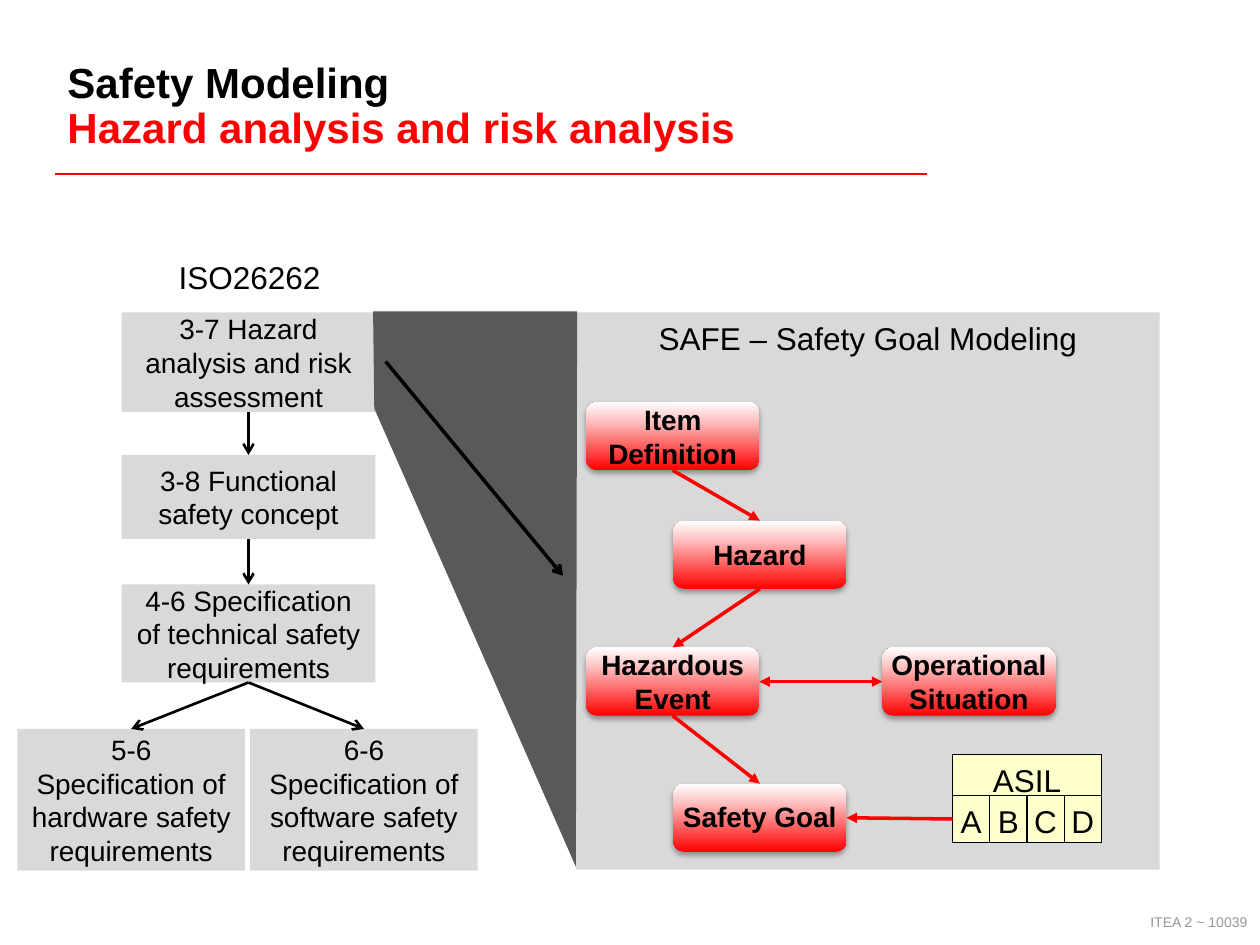
from lxml.etree import SubElement
from pptx import Presentation
from pptx.dml.color import RGBColor
from pptx.enum.shapes import MSO_CONNECTOR as Link, MSO_SHAPE as Kind
from pptx.enum.text import MSO_ANCHOR as Anchor, PP_ALIGN as Align
from pptx.oxml.ns import qn
from pptx.util import Pt

HUES = {"black": "000000", "red": "FF0000", "pink": "FEC8C8", "white": "FFFFFF",
        "pale": "D9D9D9", "dark": "595959", "cream": "FFFFCC", "gray": "969696"}
TOP, LEFT, BASE, RIGHT = range(4)


def hue(name):
    """Return the colour of that name."""
    return RGBColor.from_string(HUES[name])


def write(shape, runs, size, bold=False, align=Align.CENTER,
          anchor=Anchor.MIDDLE, wrap=True, pad=None, space=None):
    """Write (text, colour) runs, one to a line, into a shape."""
    frame = shape.text_frame
    frame.word_wrap, frame.vertical_anchor = wrap, anchor
    if pad is not None:
        frame.margin_left = frame.margin_right = Pt(pad)
        frame.margin_top = frame.margin_bottom = Pt(pad)
    para = frame.paragraphs[0]
    para.alignment, para.line_spacing = align, space
    for i, (text, color) in enumerate(runs):
        if i:
            para.add_line_break()
        run = para.add_run()
        run.text = text
        font = run.font
        font.name, font.size, font.bold = "Arial", Pt(size), bold
        font.color.rgb = hue(color)


def label(slide, box, runs, size, **style):
    """Add a text box."""
    write(slide.shapes.add_textbox(*map(Pt, box)), runs, size, **style)


def block(slide, box, text, fill, size, edge=False, **style):
    """Add a flat rectangle with text."""
    shape = slide.shapes.add_shape(Kind.RECTANGLE, *map(Pt, box))
    shape.shadow.inherit = False
    shape.fill.solid()
    shape.fill.fore_color.rgb = hue(fill)
    if edge:
        shape.line.color.rgb = hue("black")
        shape.line.width = Pt(0.75)
    else:
        shape.line.fill.background()
    write(shape, [(text, "black")], size, **style)
    return shape


def tint(node, name):
    """Add a colour element to an XML node."""
    return SubElement(node, qn("a:srgbClr"), val=HUES[name])


def node(slide, box, text, space=None):
    """Add a rounded box with a red fade and a soft shadow."""
    shape = slide.shapes.add_shape(Kind.ROUNDED_RECTANGLE, *map(Pt, box))
    shape.shadow.inherit = False
    shape.line.fill.background()
    shape.fill.gradient()
    shape.fill.gradient_angle = 90
    props = shape._element.spPr
    stops = props.find(qn("a:gradFill")).find(qn("a:gsLst"))
    for stop in list(stops):
        stops.remove(stop)
    for place, name in ((0, "red"), (75, "pink"), (100, "white")):
        tint(SubElement(stops, qn("a:gs"), pos=str(place * 1000)), name)
    shade = SubElement(props.find(qn("a:effectLst")), qn("a:outerShdw"),
                       blurRad=str(Pt(3.1)), dist=str(Pt(1.8)),
                       dir="5400000", rotWithShape="0")
    SubElement(tint(shade, "black"), qn("a:alpha"), val="35000")
    write(shape, [(text, "black")], 16, bold=True, pad=0, space=space)
    return shape


def line(slide, ends, color, width, head=None, tail=None):
    """Add a straight line with optional arrowheads."""
    link = slide.shapes.add_connector(Link.STRAIGHT, *map(Pt, ends))
    link.line.color.rgb = hue(color)
    link.line.width = Pt(width)
    props = link._element.spPr
    for tag, tip in (("a:headEnd", head), ("a:tailEnd", tail)):
        if tip:
            SubElement(props.find(qn("a:ln")), qn(tag), type=tip)
    SubElement(props, qn("a:effectLst"))
    return link


def join(slide, start, end, color, width, **tips):
    """Join two (shape, side) pairs with an arrow."""
    link = line(slide, (0, 0, 0, 0), color, width, **tips)
    link.begin_connect(*start)
    link.end_connect(*end)


def header(slide, x, y, w, h):
    """Add the title and the rule below it."""
    line(slide, (x, y + h + 8.6, x + w, y + h + 8.6), "red", 1.5)
    label(slide, (x, y, w, h),
          [("Safety Modeling", "black"), ("Hazard analysis and risk analysis", "red")],
          24, bold=True, align=Align.LEFT, anchor=Anchor.BOTTOM, space=0.9)


def flow(slide, x, y):
    """Add the chain of standard parts."""
    label(slide, (x + 85, y, 96.5, 29), [("ISO26262", "black")], 18,
          align=Align.LEFT, anchor=Anchor.TOP, wrap=False)
    parts = (
        (59.5, 34.5, 145, 57, "3-7 Hazard analysis and risk assessment"),
        (59.5, 116, 145, 48, "3-8 Functional safety concept"),
        (59.5, 190, 145, 56, "4-6 Specification of technical safety requirements"),
        (0, 272.5, 130, 81, "5-6 Specification of hardware safety requirements"),
        (133, 272.5, 130, 81, "6-6 Specification of software safety requirements"))
    steps = [block(slide, (x + dx, y + dy, w, h), text, "pale", 16)
             for dx, dy, w, h, text in parts]
    for i, j in ((2, 3), (2, 4), (0, 1), (1, 2)):
        join(slide, (steps[i], BASE), (steps[j], TOP), "black", 1.5, tail="arrow")


def asil(slide, x, y, w, h):
    """Add the level box and return its first cell."""
    style = dict(edge=True, anchor=Anchor.TOP, wrap=False)
    block(slide, (x, y, w, h), "ASIL", "cream", 18, **style)
    step, drop = w / 4, 23.4
    cells = [block(slide, (x + i * step, y + drop, step, h - drop), name, "cream", 18, **style)
             for i, name in enumerate("ABCD")]
    return cells[0]


def goals(slide, x, y, w, h):
    """Add the safety goal panel."""
    block(slide, (x, y, w, h), "SAFE – Safety Goal Modeling", "pale", 18, anchor=Anchor.TOP)

    def place(dx, dy, text, space=None):
        """Add one node at an offset in the panel."""
        return node(slide, (x + dx, y + dy, 99, 39), text, space)

    item = place(5.7, 51.2, "Item Definition")
    risk = place(55.5, 119, "Hazard")
    event = place(5.7, 191.5, "Hazardous Event")
    state = place(175, 191.5, "Operational Situation")
    goal = place(55.5, 269.3, "Safety Goal", 0.95)
    level = asil(slide, x + 215.2, y + 252.7, 85, 50.2)
    for start, end in ((item, risk), (risk, event), (event, goal)):
        join(slide, (start, BASE), (end, TOP), "red", 2, tail="triangle")
    join(slide, (event, RIGHT), (state, LEFT), "red", 2, head="triangle", tail="triangle")
    join(slide, (level, LEFT), (goal, RIGHT), "red", 2, tail="triangle")


def wedge(slide, x, y, w, h):
    """Add the dark zoom wedge and its arrow."""
    form = slide.shapes.build_freeform(Pt(x), Pt(y), scale=1)
    spots = ((w, 0), (w - 0.7, h), (0.7, 55.5))
    form.add_line_segments([(Pt(x + dx), Pt(y + dy)) for dx, dy in spots], close=True)
    shape = form.convert_to_shape()
    shape.shadow.inherit = False
    shape.fill.solid()
    shape.fill.fore_color.rgb = hue("dark")
    shape.line.fill.background()
    line(slide, (x + 7.2, y + 28.6, x + 108.5, y + 151), "black", 2, tail="arrow")


def main():
    """Build and save the slide."""
    deck = Presentation()
    deck.slide_width, deck.slide_height = Pt(720), Pt(540)
    slide = deck.slides.add_slide(deck.slide_layouts[6])
    label(slide, (625.7, 518.4, 94.3, 16.6), [("ITEA 2 ~ 10039", "gray")], 8,
          align=Align.RIGHT, anchor=Anchor.BOTTOM)
    header(slide, 31.5, 23.8, 498.5, 67)
    flow(slide, 10, 144)
    goals(slide, 329.2, 178.5, 333.5, 318.5)
    wedge(slide, 213.2, 178, 116.6, 317.3)
    deck.save("out.pptx")


if __name__ == "__main__":
    main()
